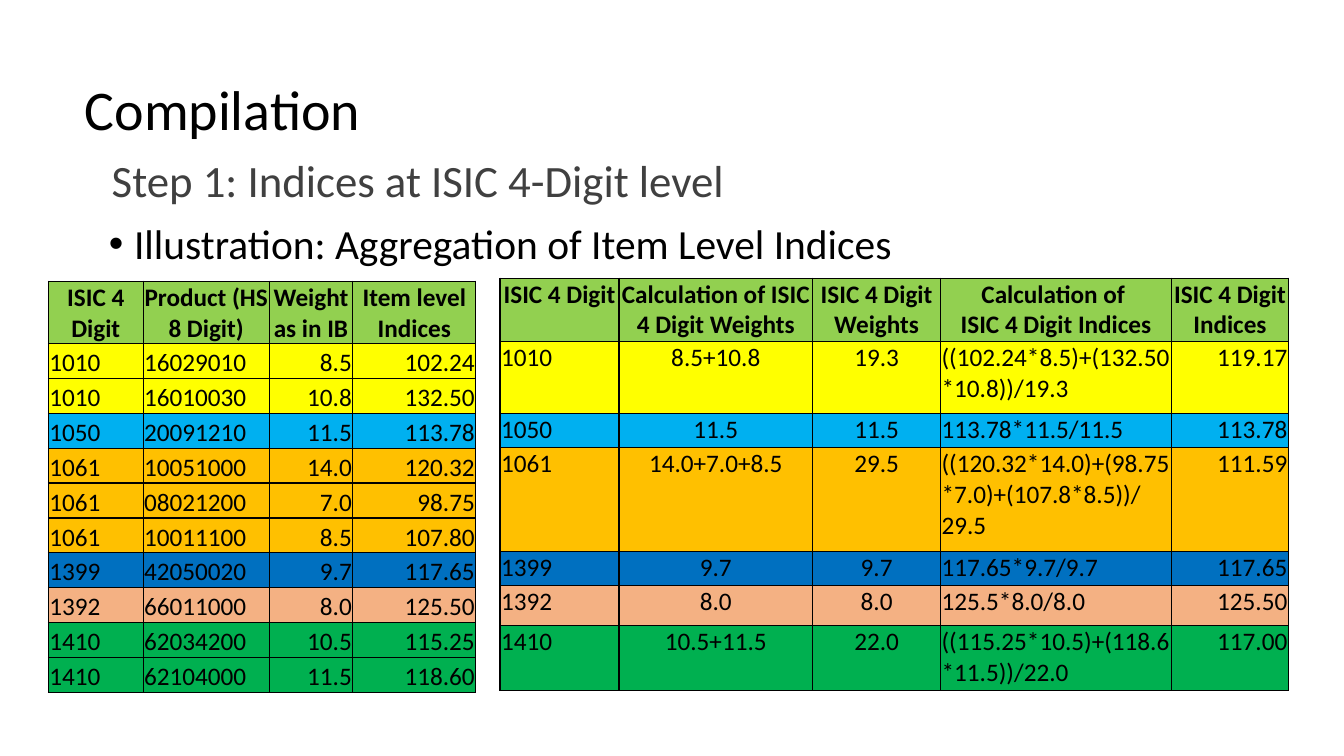
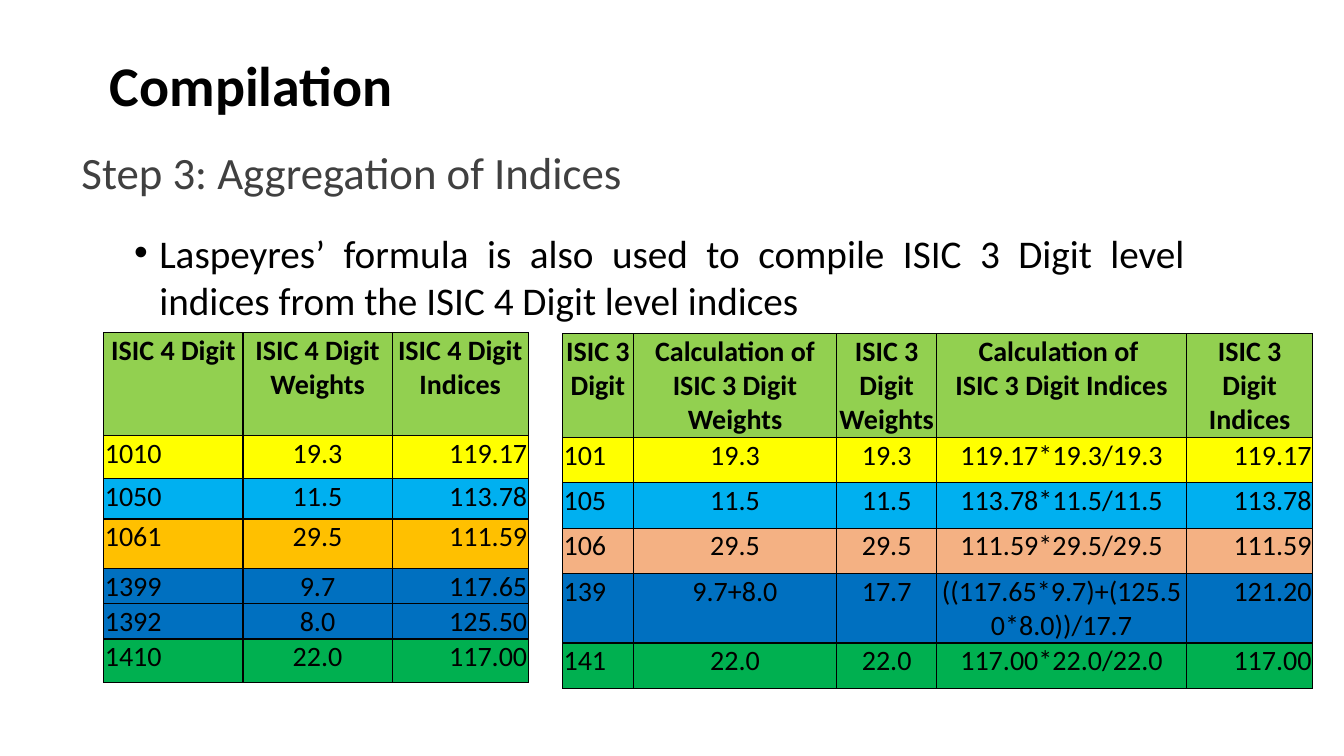
from lxml import etree
from pptx import Presentation
from pptx import util as u
from pptx.dml.color import RGBColor
from pptx.enum import text
from pptx.oxml import ns

BLACK = RGBColor(0x00, 0x00, 0x00)
GREY = RGBColor(0x40, 0x40, 0x40)
LIME = RGBColor(0x92, 0xD0, 0x50)
YELLOW = RGBColor(0xFF, 0xFF, 0x00)
SKY = RGBColor(0x00, 0xB0, 0xF0)
ORANGE = RGBColor(0xFF, 0xC0, 0x00)
BLUE = RGBColor(0x00, 0x70, 0xC0)
PEACH = RGBColor(0xF4, 0xB1, 0x83)
GREEN = RGBColor(0x00, 0xB0, 0x50)

FONT = "Calibri"
ALIGN = {
    "l": text.PP_ALIGN.LEFT,
    "c": text.PP_ALIGN.CENTER,
    "r": text.PP_ALIGN.RIGHT,
    "j": text.PP_ALIGN.JUSTIFY,
}


class Deck:
    """Holds the shared style and the slide being built."""

    def __init__(self):
        self.deck = Presentation()
        self.deck.slide_width = u.Inches(13.33)
        self.deck.slide_height = u.Inches(7.5)
        self.page = None

    def new_page(self):
        self.page = self.deck.slides.add_slide(self.deck.slide_layouts[1])

    def place(self, box, left, top, width, height):
        box.left, box.top = u.Inches(left), u.Inches(top)
        box.width, box.height = u.Inches(width), u.Inches(height)

    def set_text(self, frame, words, size, color=BLACK, bold=False, align="l"):
        frame.word_wrap = True
        para = frame.paragraphs[0]
        para.text = words
        para.alignment = ALIGN[align]
        for span in para.runs:
            span.font.name = FONT
            span.font.size = u.Pt(size)
            span.font.bold = bold
            span.font.color.rgb = color
        return para

    def title(self, words, left, top, bold=False):
        box = self.page.shapes.title
        self.place(box, left, top, 9.4, 0.89)
        para = self.set_text(box.text_frame, words, 40, bold=bold)
        para.line_spacing = 0.9
        box.text_frame.vertical_anchor = text.MSO_ANCHOR.MIDDLE
        box.text_frame.auto_size = text.MSO_AUTO_SIZE.NONE

    def bullet(self, words, left, top, height, size, spacing=1.0):
        box = self.page.placeholders[1]
        self.place(box, left, top, 10.62, height)
        para = self.set_text(box.text_frame, words, size, align="j")
        para.line_spacing = spacing
        para.space_before = u.Pt(10)
        box.text_frame.auto_size = text.MSO_AUTO_SIZE.NONE
        indent = u.Inches(0.25)
        properties = para._p.get_or_add_pPr()
        properties.set("marL", str(indent))
        properties.set("indent", str(-indent))

    def step(self, words, left, top, width):
        box = self.page.shapes.add_textbox(0, 0, 0, 0)
        self.place(box, left, top, width, 0.67)
        para = self.set_text(box.text_frame, words, 32, GREY)
        para.space_before = u.Pt(10)

    def border(self, cell):
        properties = cell._tc.get_or_add_tcPr()
        for index, side in enumerate(("lnL", "lnR", "lnT", "lnB")):
            line = etree.Element(ns.qn("a:" + side), w=str(u.Pt(1)))
            fill = etree.SubElement(line, ns.qn("a:solidFill"))
            etree.SubElement(fill, ns.qn("a:srgbClr"), val=str(BLACK))
            properties.insert(index, line)

    def table(self, left, top, widths, aligns, size, header, rows,
              anchor=text.MSO_ANCHOR.TOP):
        """Draw a table whose rows are (height, colour, cell texts)."""
        lines = [(header[0], LIME, header[1])] + rows
        height = sum(line[0] for line in lines)
        grid = self.page.shapes.add_table(
            len(lines), len(widths), u.Inches(left), u.Inches(top),
            u.Inches(sum(widths)), u.Inches(height)).table
        grid.first_row = grid.horz_banding = False
        for column, width in zip(grid.columns, widths):
            column.width = u.Inches(width)
        for number, (row_height, color, values) in enumerate(lines):
            heading = number == 0
            grid.rows[number].height = u.Inches(row_height)
            for place, words in enumerate(values):
                cell = grid.cell(number, place)
                cell.margin_left = cell.margin_right = u.Inches(0.01)
                cell.margin_top, cell.margin_bottom = u.Inches(0.01), 0
                cell.vertical_anchor = text.MSO_ANCHOR.TOP if heading else anchor
                cell.fill.solid()
                cell.fill.fore_color.rgb = color
                self.border(cell)
                self.set_text(cell.text_frame, words, size, bold=heading,
                              align="c" if heading else aligns[place])


def item_page(show):
    show.new_page()
    show.title("Compilation", 0.74, 0.67)
    show.bullet("Illustration: Aggregation of Item Level Indices",
                0.98, 2.21, 0.54, 29.6, 0.8)
    show.step("Step 1: Indices at ISIC 4-Digit level", 1.01, 1.47, 9.44)
    items = [
        (YELLOW, ("1010", "16029010", "8.5", "102.24")),
        (YELLOW, ("1010", "16010030", "10.8", "132.50")),
        (SKY, ("1050", "20091210", "11.5", "113.78")),
        (ORANGE, ("1061", "10051000", "14.0", "120.32")),
        (ORANGE, ("1061", "08021200", "7.0", "98.75")),
        (ORANGE, ("1061", "10011100", "8.5", "107.80")),
        (BLUE, ("1399", "42050020", "9.7", "117.65")),
        (PEACH, ("1392", "66011000", "8.0", "125.50")),
        (GREEN, ("1410", "62034200", "10.5", "115.25")),
        (GREEN, ("1410", "62104000", "11.5", "118.60")),
    ]
    item_height = 3.46 / len(items)
    show.table(
        0.48, 2.79, (0.94, 1.25, 0.83, 1.22), "llrr", 18,
        (0.62, ("ISIC 4 Digit", "Product (HS 8 Digit)", "Weight as in IB",
                "Item level Indices")),
        [(item_height, color, values) for color, values in items],
        text.MSO_ANCHOR.BOTTOM)
    show.table(
        4.96, 2.76, (1.18, 1.92, 1.27, 2.29, 1.16), "lcclr", 18,
        (0.63, ("ISIC 4 Digit", "Calculation of ISIC 4 Digit Weights",
                "ISIC 4 Digit Weights", "Calculation of \nISIC 4 Digit Indices",
                "ISIC 4 Digit Indices")),
        [
            (0.71, YELLOW, ("1010", "8.5+10.8", "19.3",
                            "((102.24*8.5)+(132.50*10.8))/19.3", "119.17")),
            (0.34, SKY, ("1050", "11.5", "11.5", "113.78*11.5/11.5", "113.78")),
            (1.03, ORANGE, ("1061", "14.0+7.0+8.5", "29.5",
                            "((120.32*14.0)+(98.75*7.0)+(107.8*8.5))/29.5",
                            "111.59")),
            (0.34, BLUE, ("1399", "9.7", "9.7", "117.65*9.7/9.7", "117.65")),
            (0.4, PEACH, ("1392", "8.0", "8.0", "125.5*8.0/8.0", "125.50")),
            (0.64, GREEN, ("1410", "10.5+11.5", "22.0",
                           "((115.25*10.5)+(118.6*11.5))/22.0", "117.00")),
        ])


def group_page(show):
    show.new_page()
    show.title("Compilation", 0.99, 0.43, bold=True)
    show.bullet("Laspeyres’ formula is also used to compile ISIC 3 Digit level "
                "indices from the ISIC 4 Digit level indices",
                1.23, 2.22, 1.09, 28)
    show.step("Step 3: Aggregation of Indices", 0.71, 1.39, 8.5)
    show.table(
        1.03, 3.3, (1.38, 1.48, 1.35), "lcr", 20,
        (1.02, ("ISIC 4 Digit", "ISIC 4 Digit Weights", "ISIC 4 Digit Indices")),
        [
            (0.43, YELLOW, ("1010", "19.3", "119.17")),
            (0.4, SKY, ("1050", "11.5", "113.78")),
            (0.49, ORANGE, ("1061", "29.5", "111.59")),
            (0.35, BLUE, ("1399", "9.7", "117.65")),
            (0.35, BLUE, ("1392", "8.0", "125.50")),
            (0.43, GREEN, ("1410", "22.0", "117.00")),
        ])
    show.table(
        5.58, 3.31, (0.7, 2.02, 0.99, 2.48, 1.25), "lcccr", 20,
        (1.03, ("ISIC 3 Digit", "Calculation of ISIC 3 Digit Weights",
                "ISIC 3 Digit Weights", "Calculation of \nISIC 3 Digit Indices",
                "ISIC 3 Digit Indices")),
        [
            (0.45, YELLOW, ("101", "19.3", "19.3", "119.17*19.3/19.3", "119.17")),
            (0.45, SKY, ("105", "11.5", "11.5", "113.78*11.5/11.5", "113.78")),
            (0.45, PEACH, ("106", "29.5", "29.5", "111.59*29.5/29.5", "111.59")),
            (0.69, BLUE, ("139", "9.7+8.0", "17.7",
                          "((117.65*9.7)+(125.50*8.0))/17.7", "121.20")),
            (0.45, GREEN, ("141", "22.0", "22.0", "117.00*22.0/22.0", "117.00")),
        ])


def main():
    show = Deck()
    item_page(show)
    group_page(show)
    show.deck.save("out.pptx")


if __name__ == "__main__":
    main()
